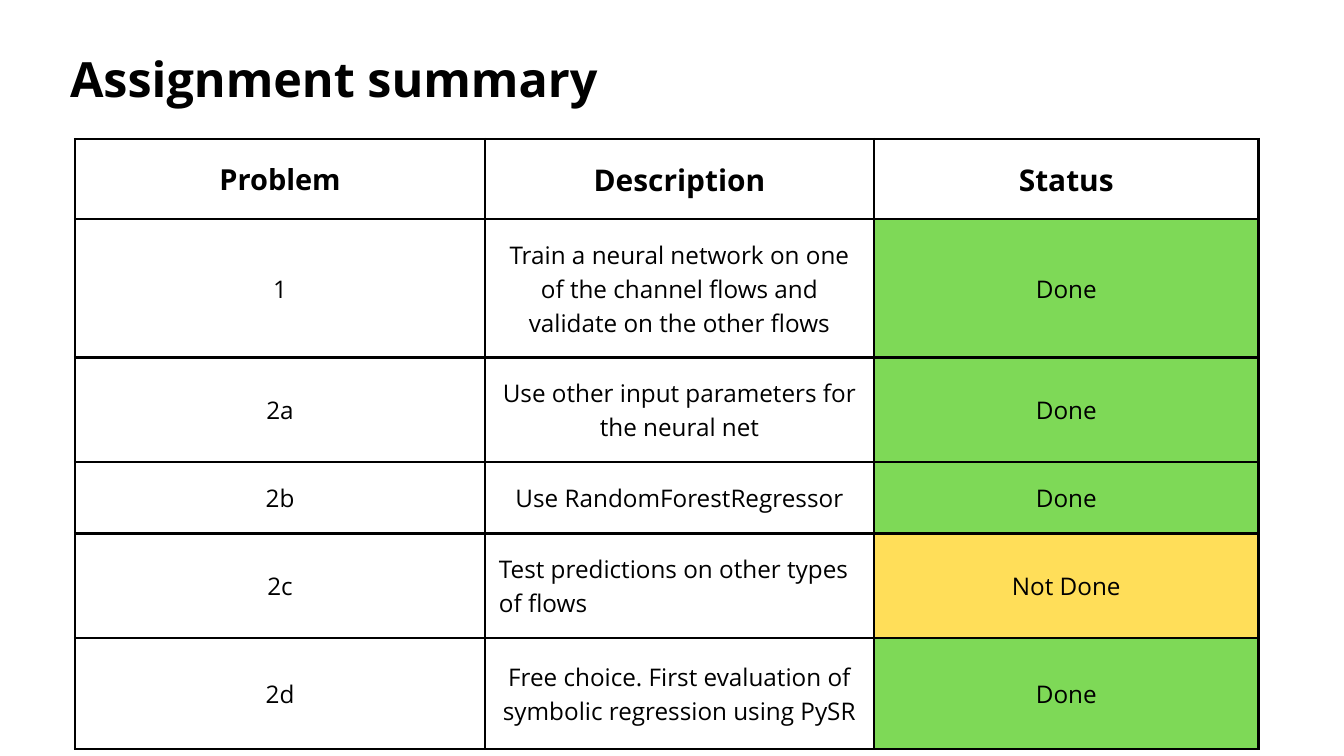
"""Build the assignment summary slide with its status table."""
from dataclasses import dataclass

from lxml import etree
from pptx import Presentation
from pptx.dml.color import RGBColor
from pptx.enum import text as t
from pptx.oxml import ns
from pptx.util import Cm, Pt

BLACK = RGBColor(0x00, 0x00, 0x00)
GREEN = RGBColor(0x7E, 0xD9, 0x57)
YELLOW = RGBColor(0xFF, 0xDE, 0x59)
FONT = "Open Sans"
LEADING = 1.4
INSET = Cm(0.53)
WIDTHS = (15.49, 14.71, 14.53)
HEADS = (("Problem", 31), ("Description", 32), ("Status", 32))
HEAD_HEIGHT = 3.02


@dataclass
class Task:
    label: str
    about: str
    height: float
    done: bool = True
    align: t.PP_ALIGN = t.PP_ALIGN.CENTER


TASKS = (
    Task("1", "Train a neural network on one of the channel flows "
         "and validate on the other flows", 5.23),
    Task("2a", "Use other input parameters for the neural net", 3.96),
    Task("2b", "Use RandomForestRegressor", 2.69),
    Task("2c", "Test predictions on other types of flows", 3.96,
         done=False, align=t.PP_ALIGN.LEFT),
    Task("2d", "Free choice. First evaluation of symbolic regression "
         "using PySR", 4.19),
)


def write(frame, words: str, *, size: float = 26, bold: bool = False,
          align: t.PP_ALIGN = t.PP_ALIGN.CENTER) -> None:
    """Put one formatted paragraph into a text frame."""
    para = frame.paragraphs[0]
    para.alignment = align
    para.line_spacing = Pt(size * LEADING)
    para.space_before = Pt(0)
    run = para.add_run()
    run.text = words
    run.font.name = FONT
    run.font.size = Pt(size)
    run.font.bold = bold
    run.font.color.rgb = BLACK


def border(cell) -> None:
    """Draw a black line on each side of a cell."""
    props = cell._tc.get_or_add_tcPr()
    for spot, side in enumerate(("lnL", "lnR", "lnT", "lnB")):
        line = etree.Element(ns.qn(f"a:{side}"), w=str(Pt(3)))
        fill = etree.SubElement(line, ns.qn("a:solidFill"))
        etree.SubElement(fill, ns.qn("a:srgbClr"), val=str(BLACK))
        props.insert(spot, line)


def fill_cell(cell, words: str, color: RGBColor | None = None,
              **style) -> None:
    """Write, pad, fill and outline a cell."""
    cell.margin_left = cell.margin_right = INSET
    cell.margin_top = cell.margin_bottom = INSET
    cell.vertical_anchor = t.MSO_ANCHOR.MIDDLE
    if color is None:
        cell.fill.background()
    else:
        cell.fill.solid()
        cell.fill.fore_color.rgb = color
    border(cell)
    write(cell.text_frame, words, **style)


def add_title(slide, words: str) -> None:
    """Move and format the title placeholder."""
    title = slide.shapes.title
    title.left, title.top = Cm(2.64), Cm(1.5)
    title.width, title.height = Cm(19.96), Cm(2.46)
    frame = title.text_frame
    frame.margin_left = frame.margin_right = 0
    frame.margin_top = frame.margin_bottom = 0
    frame.vertical_anchor = t.MSO_ANCHOR.TOP
    frame.word_wrap = True
    frame.auto_size = t.MSO_AUTO_SIZE.SHAPE_TO_FIT_TEXT
    write(frame, words, size=52, bold=True)


def add_tasks(slide) -> None:
    """Add the table of tasks."""
    heights = (HEAD_HEIGHT, *(task.height for task in TASKS))
    table = slide.shapes.add_table(
        len(heights), len(WIDTHS), Cm(2.84), Cm(5.26),
        Cm(sum(WIDTHS)), Cm(sum(heights))).table
    table.first_row = table.horz_banding = False
    for col, width in zip(table.columns, WIDTHS):
        col.width = Cm(width)
    for row, height in zip(table.rows, heights):
        row.height = Cm(height)
    for col, (words, size) in enumerate(HEADS):
        fill_cell(table.cell(0, col), words, size=size, bold=True)
    for row, task in enumerate(TASKS, 1):
        fill_cell(table.cell(row, 0), task.label)
        fill_cell(table.cell(row, 1), task.about, align=task.align)
        fill_cell(table.cell(row, 2), "Done" if task.done else "Not Done",
                  GREEN if task.done else YELLOW)


def main() -> None:
    """Build and save the deck."""
    deck = Presentation()
    deck.slide_width, deck.slide_height = Cm(50.8), Cm(28.575)
    slide = deck.slides.add_slide(deck.slide_layouts[5])
    add_tasks(slide)
    add_title(slide, "Assignment summary")
    deck.save("out.pptx")


if __name__ == "__main__":
    main()
